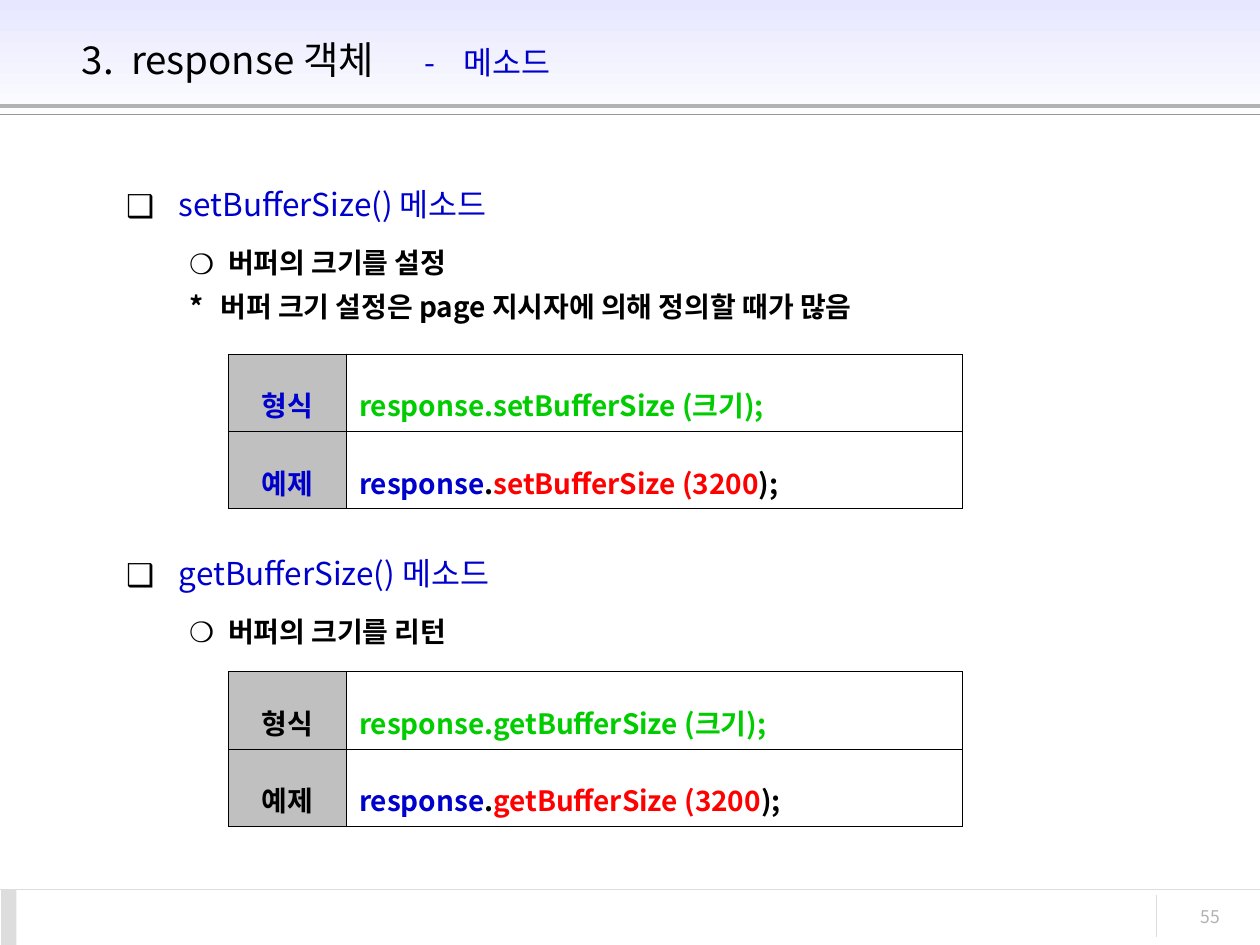
"""Build the slide on the buffer size methods of the response object."""
from lxml.etree import SubElement
from pptx import Presentation
from pptx.dml.color import RGBColor
from pptx.enum.shapes import MSO_CONNECTOR, MSO_SHAPE
from pptx.enum.text import MSO_ANCHOR, MSO_AUTO_SIZE, PP_ALIGN
from pptx.oxml import parse_xml
from pptx.oxml.ns import nsdecls, qn
from pptx.util import Inches, Pt

FONT = "Noto Sans CJK KR"
BLACK = RGBColor(0x00, 0x00, 0x00)
WHITE = RGBColor(0xFF, 0xFF, 0xFF)
BLUE = RGBColor(0x00, 0x00, 0xCC)
GREEN = RGBColor(0x00, 0xCC, 0x00)
RED = RGBColor(0xFF, 0x00, 0x00)
LAVENDER = RGBColor(0xE7, 0xE7, 0xFF)
LABEL_GRAY = RGBColor(0xC0, 0xC0, 0xC0)
PALE_GRAY = RGBColor(0xDD, 0xDD, 0xDD)
SOFT_GRAY = RGBColor(0xB2, 0xB2, 0xB2)
MID_GRAY = RGBColor(0x96, 0x96, 0x96)

TITLE = [("3.\tresponse 객체\t", 22, BLACK), ("-\t메소드", 18, BLUE)]
TITLE_TABS = (0.39, 2.72, 3.03)

STYLES = {
    "heading": dict(level=0, bullet="❑", margin=0.42, hanging=0.42, size=18,
                    color=BLUE, bold=False, before=4.5, after=6.8),
    "item": dict(level=1, bullet="❍", margin=0.81, hanging=0.31, size=16,
                 color=BLACK, bold=True, before=4, after=0),
    "note": dict(level=1, bullet=None, margin=0.75, hanging=0.25, size=16,
                 color=BLACK, bold=True, before=4, after=0),
}
STYLES["next heading"] = STYLES["heading"] | dict(before=130)
BODY = [
    ("heading", "setBufferSize() 메소드"),
    ("item", "버퍼의 크기를 설정"),
    ("note", "*\t버퍼 크기 설정은 page 지시자에 의해 정의할 때가 많음"),
    ("next heading", "getBufferSize() 메소드"),
    ("item", "버퍼의 크기를 리턴"),
]

TABLES = [("setBufferSize", 2.81, BLUE), ("getBufferSize", 5.33, BLACK)]
COLUMN_WIDTHS = (0.94, 4.89)
ROW_HEIGHT = 0.53

RULES = [
    ((0, 0.84), (10, 0.84), SOFT_GRAY, 2.25),
    ((0, 0.91), (10, 0.91), MID_GRAY, 0.75),
    ((0, 7.06), (10, 7.06), PALE_GRAY, 0.75),
    ((9.18, 7.1), (9.18, 7.44), PALE_GRAY, 0.75),
]


def place(shape, left, top, width, height):
    box = dict(left=left, top=top, width=width, height=height)
    for name, value in box.items():
        setattr(shape, name, Inches(value))


def add_run(paragraph, text, size, color, bold=False):
    run = paragraph.add_run()
    run.text = text
    for name, value in dict(name=FONT, size=Pt(size), bold=bold).items():
        setattr(run.font, name, value)
    run.font.color.rgb = color
    SubElement(run.font._element, qn("a:ea"), typeface=FONT)


def add_rectangle(slide, left, top, width, height):
    shape = slide.shapes.add_shape(
        MSO_SHAPE.RECTANGLE, *map(Inches, (left, top, width, height)))
    shape.shadow.inherit = False
    shape.line.fill.background()
    return shape


def add_frame(slide):
    band = add_rectangle(slide, 0, 0, 10, 1)
    band.fill.gradient()
    band.fill.gradient_angle = 270
    for stop, color in zip(band.fill.gradient_stops, (LAVENDER, WHITE)):
        stop.color.rgb = color
    corner = add_rectangle(slide, 0.01, 7.06, 0.12, 0.44)
    corner.fill.solid()
    corner.fill.fore_color.rgb = PALE_GRAY
    for start, end, color, width in RULES:
        rule = slide.shapes.add_connector(
            MSO_CONNECTOR.STRAIGHT, *map(Inches, start + end))
        rule.line.color.rgb = color
        rule.line.width = Pt(width)
        SubElement(rule._element.spPr, qn("a:effectLst"))
    number = slide.shapes.add_textbox(*map(Inches, (8.86, 7.14, 0.92, 0.33)))
    number.text_frame.word_wrap = True
    paragraph = number.text_frame.paragraphs[0]
    paragraph.alignment = PP_ALIGN.RIGHT
    add_run(paragraph, "55", 10, SOFT_GRAY)


def fill_title(slide):
    title = slide.shapes.title
    place(title, 0.55, 0.13, 8.63, 0.68)
    slide.shapes._spTree.append(title._element)
    frame = title.text_frame
    frame.auto_size = MSO_AUTO_SIZE.NONE
    frame.vertical_anchor = MSO_ANCHOR.MIDDLE
    paragraph = frame.paragraphs[0]
    paragraph.alignment = PP_ALIGN.LEFT
    tabs = SubElement(paragraph._p.get_or_add_pPr(), qn("a:tabLst"))
    for position in TITLE_TABS:
        SubElement(tabs, qn("a:tab"), pos=str(Inches(position)), algn="l")
    for text, size, color in TITLE:
        add_run(paragraph, text, size, color)


def set_bullet(properties, bullet):
    if bullet is None:
        SubElement(properties, qn("a:buNone"))
        return
    color = SubElement(properties, qn("a:buClr"))
    SubElement(color, qn("a:srgbClr"), val=str(BLACK))
    SubElement(properties, qn("a:buFont"), typeface=FONT)
    SubElement(properties, qn("a:buChar"), char=bullet)


def fill_body(slide):
    body = slide.placeholders[1]
    place(body, 0.9, 1.39, 8.67, 4.95)
    frame = body.text_frame
    frame.auto_size = MSO_AUTO_SIZE.NONE
    for index, (kind, text) in enumerate(BODY):
        style = STYLES[kind]
        paragraph = frame.add_paragraph() if index else frame.paragraphs[0]
        layout = dict(level=style["level"], line_spacing=1.1,
                      space_before=Pt(style["before"]),
                      space_after=Pt(style["after"]))
        for name, value in layout.items():
            setattr(paragraph, name, value)
        properties = paragraph._p.get_or_add_pPr()
        properties.set("marL", str(Inches(style["margin"])))
        properties.set("indent", str(-Inches(style["hanging"])))
        set_bullet(properties, style["bullet"])
        add_run(paragraph, text, style["size"], style["color"], style["bold"])


def format_cell(cell, runs, fill, alignment):
    cell.vertical_anchor = MSO_ANCHOR.MIDDLE
    if fill is None:
        cell.fill.background()
    else:
        cell.fill.solid()
        cell.fill.fore_color.rgb = fill
    properties = cell._tc.get_or_add_tcPr()
    for index, side in enumerate("LRTB"):
        properties.insert(index, parse_xml(
            f'<a:ln{side} {nsdecls("a")} w="{Pt(0.11)}"><a:solidFill>'
            f'<a:srgbClr val="{BLACK}"/></a:solidFill></a:ln{side}>'))
    paragraph = cell.text_frame.paragraphs[0]
    paragraph.alignment = alignment
    paragraph.line_spacing = 1.6
    for text, color in runs:
        add_run(paragraph, text, 16, color, True)


def add_method_table(slide, method, top, label_color):
    rows = [
        ("형식", [(f"response.{method} (크기);", GREEN)]),
        ("예제", [("response", BLUE), (".", BLACK),
                (f"{method} (3200", RED), (");", BLACK)]),
    ]
    table = slide.shapes.add_table(
        len(rows), len(COLUMN_WIDTHS), Inches(1.81), Inches(top),
        Inches(sum(COLUMN_WIDTHS)), Inches(ROW_HEIGHT * len(rows))).table
    table.first_row = table.horz_banding = False
    for column, width in zip(table.columns, COLUMN_WIDTHS):
        column.width = Inches(width)
    for index, (label, code) in enumerate(rows):
        format_cell(table.cell(index, 0), [(label, label_color)],
                    LABEL_GRAY, PP_ALIGN.CENTER)
        format_cell(table.cell(index, 1), code, None, PP_ALIGN.JUSTIFY)


def main():
    presentation = Presentation()
    presentation.slide_width = Inches(10)
    presentation.slide_height = Inches(7.5)
    slide = presentation.slides.add_slide(presentation.slide_layouts[1])
    add_frame(slide)
    fill_title(slide)
    fill_body(slide)
    for method, top, label_color in TABLES:
        add_method_table(slide, method, top, label_color)
    presentation.save("out.pptx")


if __name__ == "__main__":
    main()
